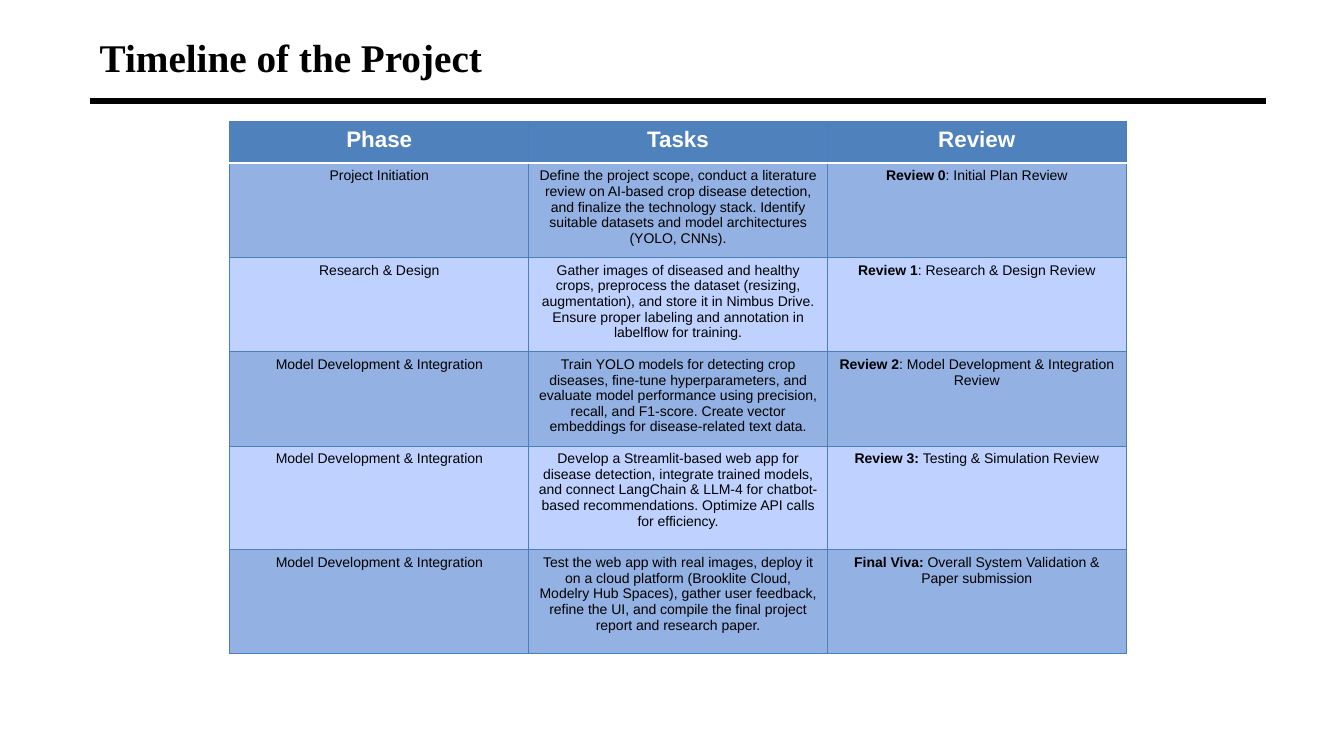
from dataclasses import dataclass

from lxml.etree import SubElement
from pptx import Presentation
from pptx.dml.color import RGBColor
from pptx.enum.shapes import MSO_CONNECTOR
from pptx.enum.text import MSO_ANCHOR, PP_ALIGN
from pptx.oxml.ns import qn
from pptx.util import Inches, Pt


@dataclass(frozen=True)
class Theme:
    ink: str = "000000"
    white: str = "FFFFFF"
    header: str = "4F81BD"
    band_dark: str = "93B1E3"
    band_light: str = "BFD2FF"
    border: str = "4B7EBC"
    title_font: str = "Times New Roman"
    body_font: str = "Arial"
    title_size: int = 28
    header_size: int = 16
    body_size: int = 10
    rule_width: float = 4.5
    border_width: float = 0.75
    header_rule_width: float = 2


THEME = Theme()

HEADINGS = ("Phase", "Tasks", "Review")
# Phase, tasks, review label (bold), review text, row height in inches
PHASES = [
    ("Project Initiation",
     "Define the project scope, conduct a literature review on AI-based crop disease "
     "detection, and finalize the technology stack. Identify suitable datasets and "
     "model architectures (YOLO, CNNs).",
     "Review 0", ": Initial Plan Review", 0.87),
    ("Research & Design",
     "Gather images of diseased and healthy crops, preprocess the dataset (resizing, "
     "augmentation), and store it in Nimbus Drive. Ensure proper labeling and "
     "annotation in labelflow for training.",
     "Review 1", ": Research & Design Review", 0.87),
    ("Model Development & Integration",
     "Train YOLO models for detecting crop diseases, fine-tune hyperparameters, and "
     "evaluate model performance using precision, recall, and F1-score. Create vector "
     "embeddings for disease-related text data.",
     "Review 2", ": Model Development & Integration Review", 0.87),
    ("Model Development & Integration",
     "Develop a Streamlit-based web app for disease detection, integrate trained "
     "models, and connect LangChain & LLM-4 for chatbot-based recommendations. "
     "Optimize API calls for efficiency.",
     "Review 3: ", "Testing & Simulation Review", 1.03),
    ("Model Development & Integration",
     "Test the web app with real images, deploy it on a cloud platform (Brooklite "
     "Cloud, Modelry Hub Spaces), gather user feedback, refine the UI, and compile the "
     "final project report and research paper.",
     "Final Viva: ", "Overall System Validation & Paper submission", 1.03),
]


def add_text(paragraph, text, *, size=THEME.body_size, font=THEME.body_font,
             color=THEME.ink, bold=False, align=PP_ALIGN.CENTER):
    paragraph.alignment = align
    run = paragraph.add_run()
    run.text = text
    run.font.size = Pt(size)
    run.font.name = font
    run.font.bold = bold
    run.font.color.rgb = RGBColor.from_string(color)


def add_title(slide, text):
    box = slide.shapes.add_textbox(Inches(0.89), Inches(0.3), Inches(11.67), Inches(0.53))
    frame = box.text_frame
    frame.word_wrap = True
    frame.vertical_anchor = MSO_ANCHOR.MIDDLE
    add_text(frame.paragraphs[0], text, size=THEME.title_size, font=THEME.title_font,
             bold=True, align=PP_ALIGN.LEFT)


def add_title_rule(slide):
    rule = slide.shapes.add_connector(
        MSO_CONNECTOR.STRAIGHT, Inches(0.89), Inches(1), Inches(12.56), Inches(1))
    rule.line.color.rgb = RGBColor.from_string(THEME.ink)
    rule.line.width = Pt(THEME.rule_width)
    SubElement(rule._element.spPr, qn("a:effectLst"))


def style_cell(cell, fill, white_edge=None):
    """Set borders, then fill; white_edge names the side along the header rule."""
    properties = cell._tc.get_or_add_tcPr()
    for side in ("L", "R", "T", "B"):
        on_rule = side == white_edge
        width = THEME.header_rule_width if on_rule else THEME.border_width
        edge = SubElement(properties, qn(f"a:ln{side}"), w=str(Pt(width)))
        edge_fill = SubElement(edge, qn("a:solidFill"))
        SubElement(edge_fill, qn("a:srgbClr"), val=THEME.white if on_rule else THEME.border)
    cell.fill.solid()
    cell.fill.fore_color.rgb = RGBColor.from_string(fill)


def add_timeline(slide):
    heights = [0.41] + [phase[-1] for phase in PHASES]
    timeline = slide.shapes.add_table(
        len(heights), len(HEADINGS), Inches(2.28), Inches(1.21),
        Inches(8.89), Inches(sum(heights))).table
    timeline.horz_banding = False
    for row, height in zip(timeline.rows, heights):
        row.height = Inches(height)

    for column, heading in enumerate(HEADINGS):
        cell = timeline.cell(0, column)
        style_cell(cell, THEME.header, white_edge="B")
        add_text(cell.text_frame.paragraphs[0], heading, size=THEME.header_size,
                 color=THEME.white, bold=True)

    for index, (phase, tasks, label, review, _) in enumerate(PHASES, start=1):
        band = THEME.band_dark if index % 2 else THEME.band_light
        contents = ([(phase, False)], [(tasks, False)], [(label, True), (review, False)])
        for column, runs in enumerate(contents):
            cell = timeline.cell(index, column)
            style_cell(cell, band, white_edge="T" if index == 1 else None)
            for text, bold in runs:
                add_text(cell.text_frame.paragraphs[0], text, bold=bold)


def main():
    deck = Presentation()
    deck.slide_width, deck.slide_height = Inches(13.33), Inches(7.5)
    slide = deck.slides.add_slide(deck.slide_layouts[6])
    add_title_rule(slide)
    add_title(slide, "Timeline of the Project")
    add_timeline(slide)
    deck.save("out.pptx")


if __name__ == "__main__":
    main()
